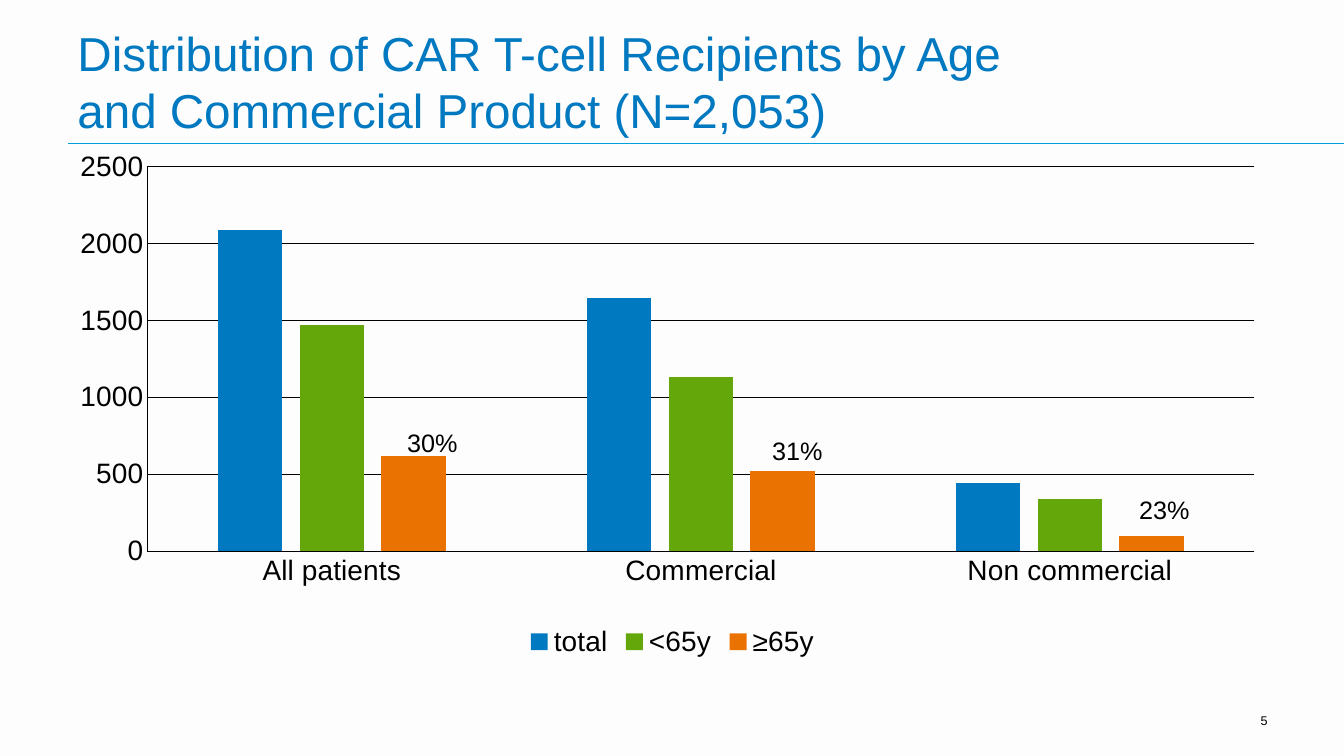
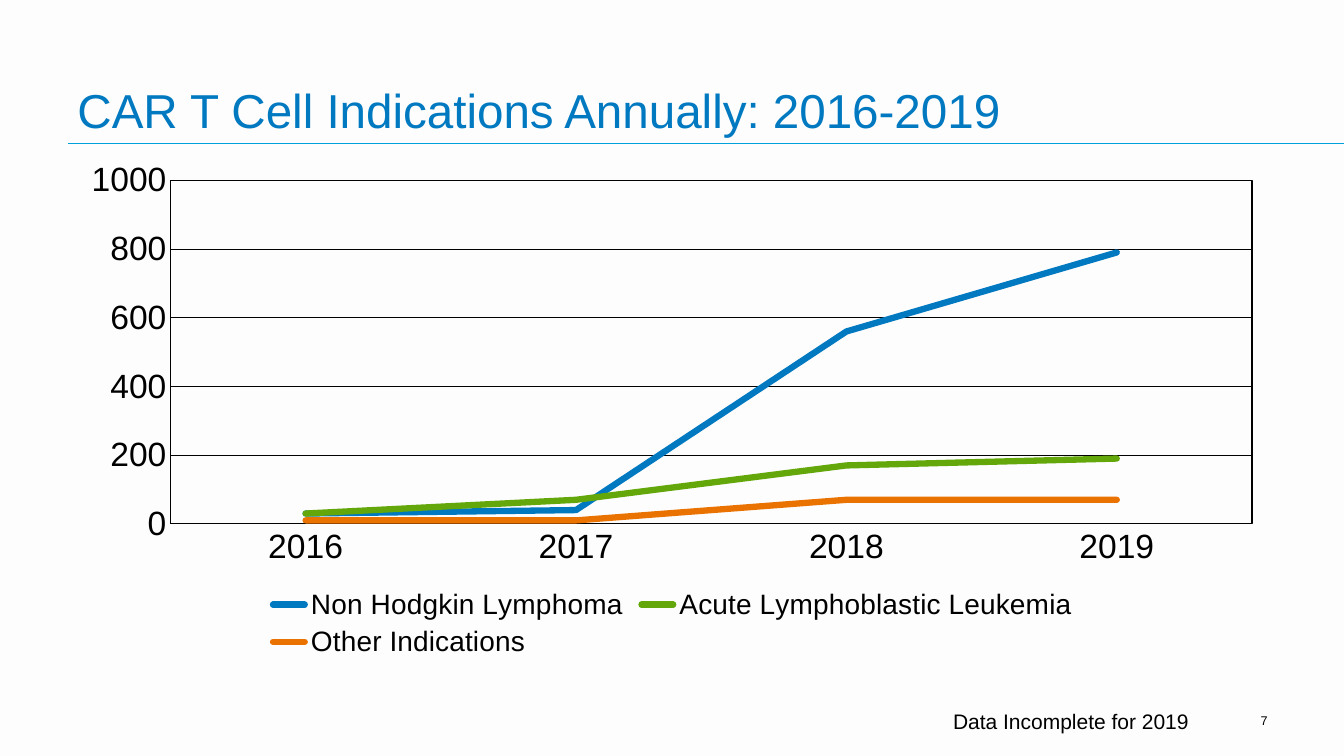
from lxml.etree import SubElement
from pptx import Presentation
from pptx.chart.data import CategoryChartData
from pptx.dml.color import RGBColor
from pptx.enum.chart import XL_CHART_TYPE, XL_LEGEND_POSITION, XL_MARKER_STYLE, XL_TICK_MARK
from pptx.enum.shapes import MSO_CONNECTOR
from pptx.enum.text import MSO_ANCHOR, PP_ALIGN
from pptx.oxml import parse_xml
from pptx.oxml.ns import nsdecls, qn
from pptx.util import Inches, Pt

COLORS = {
    "background": "FDFDFD",
    "title": "0079C1",
    "rule": "00A0DD",
    "text": "000000",
    "blue": "0079C1",
    "green": "63A70A",
    "orange": "EA7200",
}
SERIES_COLORS = ("blue", "green", "orange")
FONT = "Arial"
SLIDE_WIDTH, SLIDE_HEIGHT = 13.33, 7.5
MARGIN = 0.67
TITLE_TOP, RULE_TOP = 0.17, 1.42
CHART_BOX = (MARGIN, 1.5, 12, 5.08)
FOOTER_TOP, FOOTER_HEIGHT = 6.95, 0.4


def rgb(name):
    return RGBColor.from_string(COLORS[name])


def style_font(font, size, color="text"):
    font.name = FONT
    font.size = Pt(size)
    font.color.rgb = rgb(color)
    font.bold = False


def style_line(line, color="text", width=0.75):
    line.color.rgb = rgb(color)
    line.width = Pt(width)


def add_text(slide, text, box, size, color="text", align=PP_ALIGN.LEFT,
             anchor=MSO_ANCHOR.TOP, wrap=True):
    frame = slide.shapes.add_textbox(*map(Inches, box)).text_frame
    frame.word_wrap = wrap
    frame.vertical_anchor = anchor
    frame.text = text
    paragraph = frame.paragraphs[0]
    paragraph.alignment = align
    style_font(paragraph.font, size, color)


def add_footer(slide, text, left, width, size):
    add_text(slide, text, (left, FOOTER_TOP, width, FOOTER_HEIGHT), size,
             align=PP_ALIGN.RIGHT, anchor=MSO_ANCHOR.MIDDLE)


def add_base_slide(deck, title, number):
    """Add a slide with the shared background, rule, title and page number."""
    slide = deck.slides.add_slide(deck.slide_layouts[6])
    slide.background.fill.solid()
    slide.background.fill.fore_color.rgb = rgb("background")
    rule = slide.shapes.add_connector(
        MSO_CONNECTOR.STRAIGHT, Inches(MARGIN), Inches(RULE_TOP),
        Inches(SLIDE_WIDTH), Inches(RULE_TOP))
    style_line(rule.line, "rule")
    SubElement(rule.element.spPr, qn("a:effectLst"))
    add_text(slide, title, (MARGIN, TITLE_TOP, 10.43, RULE_TOP - TITLE_TOP),
             34, "title", anchor=MSO_ANCHOR.BOTTOM)
    add_footer(slide, str(number), 12, 0.67, 9)
    return slide


def place_plot(chart, left, top, width, height):
    """Fix the inner plot area, in fractions of the chart."""
    plot_area = chart.element.find(".//" + qn("c:plotArea"))
    for layout in plot_area.findall(qn("c:layout")):
        plot_area.remove(layout)
    fractions = {"x": left, "y": top, "w": width, "h": height}
    places = "".join(f'<c:{key} val="{value}"/>' for key, value in fractions.items())
    plot_area.insert(0, parse_xml(
        f'<c:layout {nsdecls("c")}><c:manualLayout><c:layoutTarget val="inner"/>'
        '<c:xMode val="edge"/><c:yMode val="edge"/>'
        f'{places}</c:manualLayout></c:layout>'))


def frame_plot(chart):
    plot_area = chart.element.find(".//" + qn("c:plotArea"))
    plot_area.append(parse_xml(
        f'<c:spPr {nsdecls("c", "a")}><a:noFill/><a:ln w="{Pt(0.75)}"><a:solidFill>'
        f'<a:srgbClr val="{COLORS["text"]}"/></a:solidFill></a:ln></c:spPr>'))


def add_chart(slide, kind, categories, series_values, axis_size, top_value, step):
    """Add a chart with the shared axes, grid and bottom legend."""
    data = CategoryChartData(number_format="General")
    data.categories = categories
    for name, values in series_values.items():
        data.add_series(name, values)
    chart = slide.shapes.add_chart(kind, *map(Inches, CHART_BOX), data).chart
    style_font(chart.font, axis_size)
    chart.has_title = False
    chart.has_legend = True
    chart.legend.position = XL_LEGEND_POSITION.BOTTOM
    chart.legend.include_in_layout = False
    style_font(chart.legend.font, 20)
    for axis in (chart.category_axis, chart.value_axis):
        axis.major_tick_mark = axis.minor_tick_mark = XL_TICK_MARK.NONE
        style_font(axis.tick_labels.font, axis_size)
        style_line(axis.format.line)
    values_axis = chart.value_axis
    values_axis.minimum_scale, values_axis.maximum_scale = 0, top_value
    values_axis.major_unit = step
    style_line(values_axis.major_gridlines.format.line)
    return chart


def add_age_chart(slide):
    chart = add_chart(
        slide, XL_CHART_TYPE.COLUMN_CLUSTERED,
        ("All patients", "Commercial", "Non commercial"),
        {"total": (2090, 1650, 440), "<65y": (1470, 1130, 340), "≥65y": (620, 520, 100)},
        20, 2500, 500)
    place_plot(chart, 0.066, 0.03, 0.915, 0.751)
    columns = chart.plots[0]
    columns.vary_by_categories = False
    columns.gap_width, columns.overlap = 219, -27
    for series, color in zip(columns.series, SERIES_COLORS):
        series.format.fill.solid()
        series.format.fill.fore_color.rgb = rgb(color)
    for share, left, top in (("30%", 3.94, 4.19), ("31%", 7.56, 4.27), ("23%", 11.2, 4.86)):
        add_text(slide, share, (left, top, 0.71, 0.4), 18, wrap=False)


def add_indications_chart(slide):
    chart = add_chart(
        slide, XL_CHART_TYPE.LINE, ("2016", "2017", "2018", "2019"),
        {"Non Hodgkin Lymphoma": (30, 40, 560, 790),
         "Acute Lymphoblastic Leukemia": (30, 70, 170, 190),
         "Other Indications": (10, 10, 70, 70)},
        24, 1000, 200)
    place_plot(chart, 0.085, 0.057, 0.894, 0.671)
    frame_plot(chart)
    trends = chart.plots[0]
    trends.vary_by_categories = False
    for series, color in zip(trends.series, SERIES_COLORS):
        series.smooth = False
        series.marker.style = XL_MARKER_STYLE.NONE
        style_line(series.format.line, color, 4.5)
    for outline in chart.element.find(".//" + qn("c:lineChart")).iter(qn("a:ln")):
        outline.set("cap", "rnd")


def main():
    deck = Presentation()
    deck.slide_width, deck.slide_height = Inches(SLIDE_WIDTH), Inches(SLIDE_HEIGHT)

    ages = add_base_slide(
        deck, "Distribution of CAR T-cell Recipients by Age\vand Commercial Product (N=2,053)", 5)
    add_age_chart(ages)

    indications = add_base_slide(deck, "CAR T Cell Indications Annually: 2016-2019", 7)
    add_indications_chart(indications)
    add_footer(indications, "Data Incomplete for 2019", 4.56, 7.33, 15)

    deck.save("out.pptx")


if __name__ == "__main__":
    main()
